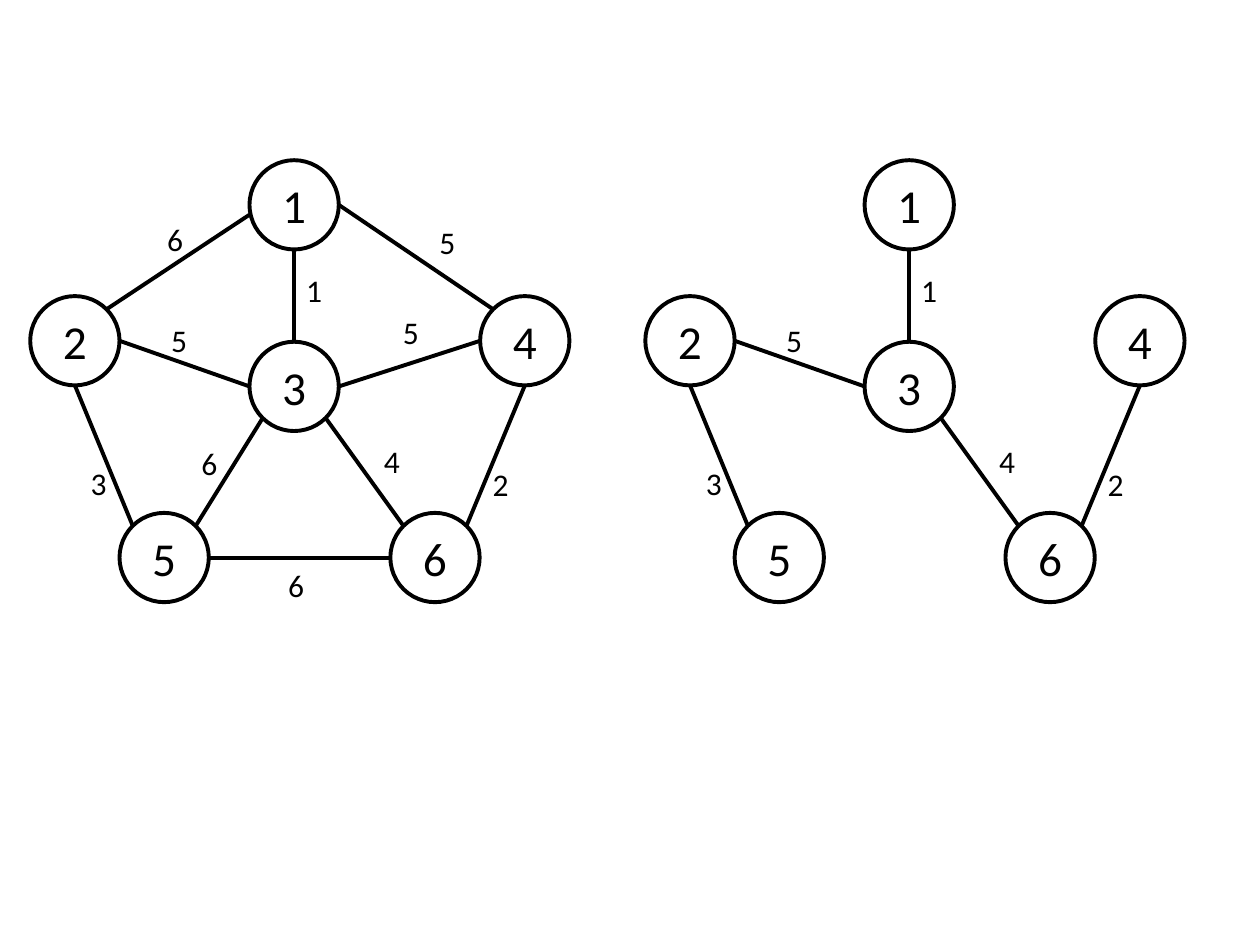
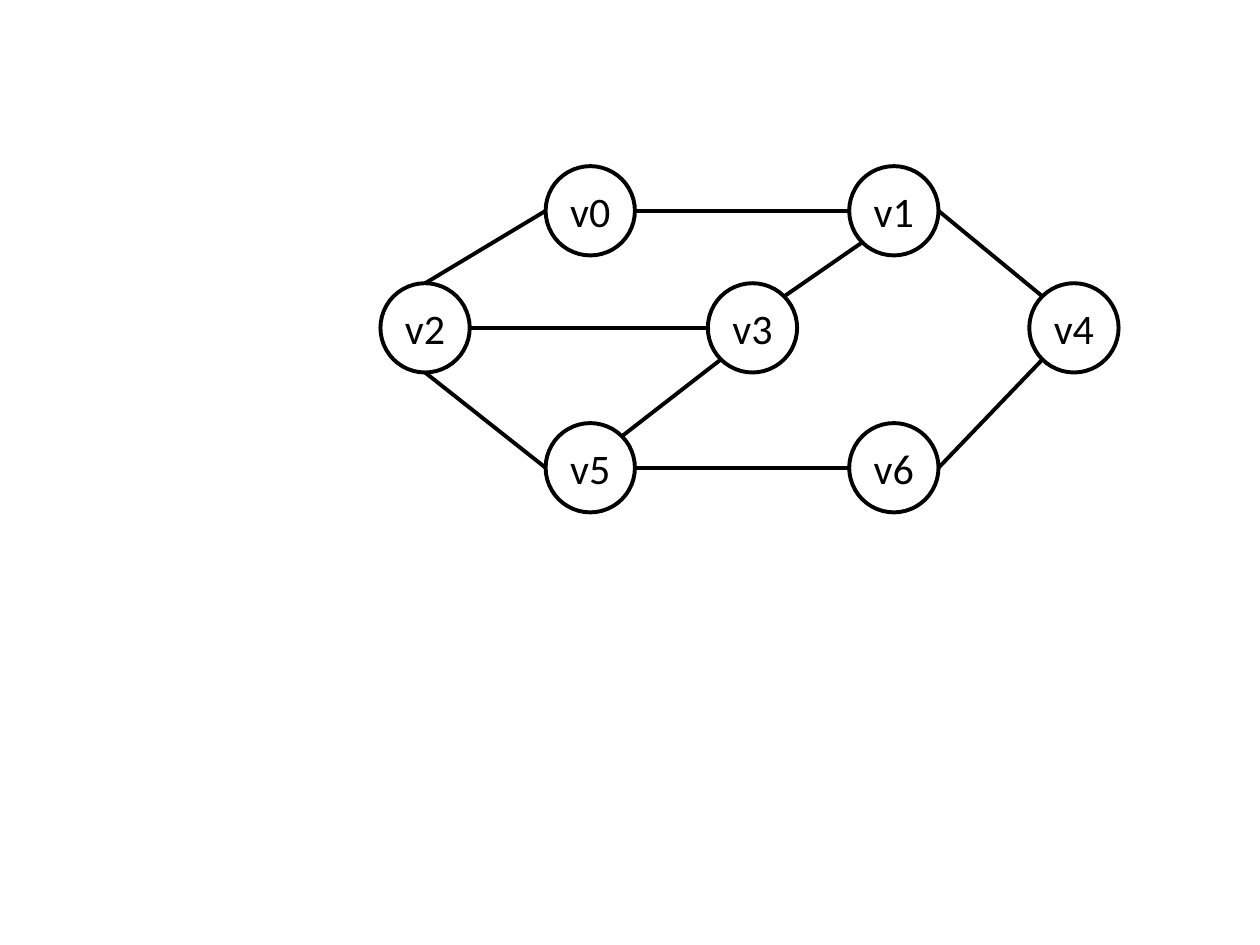
from pptx import Presentation
from pptx.dml.color import RGBColor as Rgb
from pptx.enum.shapes import MSO_CONNECTOR as Connector, MSO_SHAPE as Shape
from pptx.enum.text import MSO_ANCHOR as Anchor, MSO_AUTO_SIZE as AutoSize, PP_ALIGN as Align
from pptx.util import Cm, Pt
from lxml.etree import SubElement
from pptx.oxml.ns import qn

COLORS = {"ink": "000000"}
FONT = "Calibri"
LINE_WIDTH = 2.25
NODE_SIZE = 1.8
LABEL_WIDTH, LABEL_HEIGHT = 0.74, 1.02

SITES = {
    "top": (0.5, 0), "bottom": (0.5, 1), "left": (0, 0.5), "right": (1, 0.5),
    "top left": (0.15, 0.15), "top right": (0.85, 0.15),
    "bottom left": (0.15, 0.85), "bottom right": (0.85, 0.85),
    "low left": (0, 0.61),
}

WEIGHTED_NODES = {
    "1": (4.42, 0), "2": (0, 2.74), "3": (4.42, 3.66),
    "4": (9.07, 2.74), "5": (1.8, 7.11), "6": (7.26, 7.11),
}
WEIGHTED_EDGES = [
    ("1", "right", "4", "top left", "5", (8, 1.14)),
    ("6", "top right", "4", "bottom", "2", (9.07, 6.02)),
    ("5", "right", "6", "left", "6", (4.95, 8.05)),
    ("5", "top right", "3", "bottom left", "6", (3.2, 5.59)),
    ("3", "bottom right", "6", "top left", "4", (6.88, 5.56)),
    ("3", "right", "4", "left", "5", (7.26, 2.95)),
    ("2", "top right", "1", "low left", "6", (2.51, 1.09)),
    ("2", "right", "3", "left", "5", (2.59, 3.12)),
    ("5", "top left", "2", "bottom", "3", (0.97, 5.99)),
    ("1", "bottom", "3", "top", "1", (5.31, 2.11)),
]
TREE_PAIRS = {("6", "4"), ("3", "6"), ("2", "3"), ("5", "2"), ("1", "3")}
TREE_EDGES = [edge for edge in WEIGHTED_EDGES if (edge[0], edge[2]) in TREE_PAIRS]

VERTEX_NODES = {
    "v0": (3.33, 0), "v1": (9.45, 0), "v2": (0, 2.36), "v3": (6.6, 2.36),
    "v4": (13.08, 2.36), "v5": (3.33, 5.18), "v6": (9.45, 5.18),
}
VERTEX_EDGES = [
    ("v2", "top", "v0", "left"),
    ("v2", "bottom", "v5", "left"),
    ("v0", "right", "v1", "left"),
    ("v5", "right", "v6", "left"),
    ("v2", "right", "v3", "left"),
    ("v6", "right", "v4", "bottom left"),
    ("v1", "right", "v4", "top left"),
    ("v5", "top right", "v3", "bottom left"),
    ("v3", "top right", "v1", "bottom left"),
]


def ink():
    return Rgb.from_string(COLORS["ink"])


def style_line(line):
    line.color.rgb = ink()
    line.width = Pt(LINE_WIDTH)


def write(frame, text, size, align):
    para = frame.paragraphs[0]
    para.text = text
    para.alignment = align
    para.font.name = FONT
    para.font.size = Pt(size)
    para.font.color.rgb = ink()


def add_node(page, left, top, name, size):
    node = page.shapes.add_shape(Shape.OVAL, Cm(left), Cm(top), Cm(NODE_SIZE), Cm(NODE_SIZE))
    node.shadow.inherit = False
    node.fill.background()
    style_line(node.line)
    frame = node.text_frame
    frame.vertical_anchor = Anchor.MIDDLE
    frame.margin_left = frame.margin_right = Cm(0.19)
    frame.margin_top = frame.margin_bottom = Cm(0.1)
    write(frame, name, size, Align.CENTER)


def add_edge(page, start, end):
    edge = page.shapes.add_connector(Connector.STRAIGHT, *map(Cm, start + end))
    style_line(edge.line)
    SubElement(edge._element.spPr, qn("a:effectLst"))


def add_weight(page, left, top, weight):
    box = page.shapes.add_textbox(Cm(left), Cm(top), Cm(LABEL_WIDTH), Cm(LABEL_HEIGHT))
    box.text_frame.word_wrap = True
    box.text_frame.auto_size = AutoSize.SHAPE_TO_FIT_TEXT
    write(box.text_frame, weight, 18, Align.LEFT)


def add_graph(page, left, top, nodes, edges, size):
    def site_point(name, site):
        (x, y), (across, down) = nodes[name], SITES[site]
        return left + x + across * NODE_SIZE, top + y + down * NODE_SIZE

    for name, (x, y) in nodes.items():
        add_node(page, left + x, top + y, name, size)
    for first, first_site, second, second_site, *label in edges:
        add_edge(page, site_point(first, first_site), site_point(second, second_site))
        if label:
            weight, (x, y) = label
            add_weight(page, left + x, top + y, weight)


def add_spanning_tree_page(page):
    add_graph(page, 0.61, 3.23, WEIGHTED_NODES, WEIGHTED_EDGES, 27)
    add_graph(page, 13.01, 3.23, WEIGHTED_NODES, TREE_EDGES, 27)


def add_vertex_page(page):
    add_graph(page, 7.67, 3.35, VERTEX_NODES, VERTEX_EDGES, 24)


def main():
    deck = Presentation()
    deck.slide_width, deck.slide_height = Cm(25.4), Cm(19.05)
    for build_page in (add_spanning_tree_page, add_vertex_page):
        build_page(deck.slides.add_slide(deck.slide_layouts[6]))
    deck.save("out.pptx")


if __name__ == "__main__":
    main()
